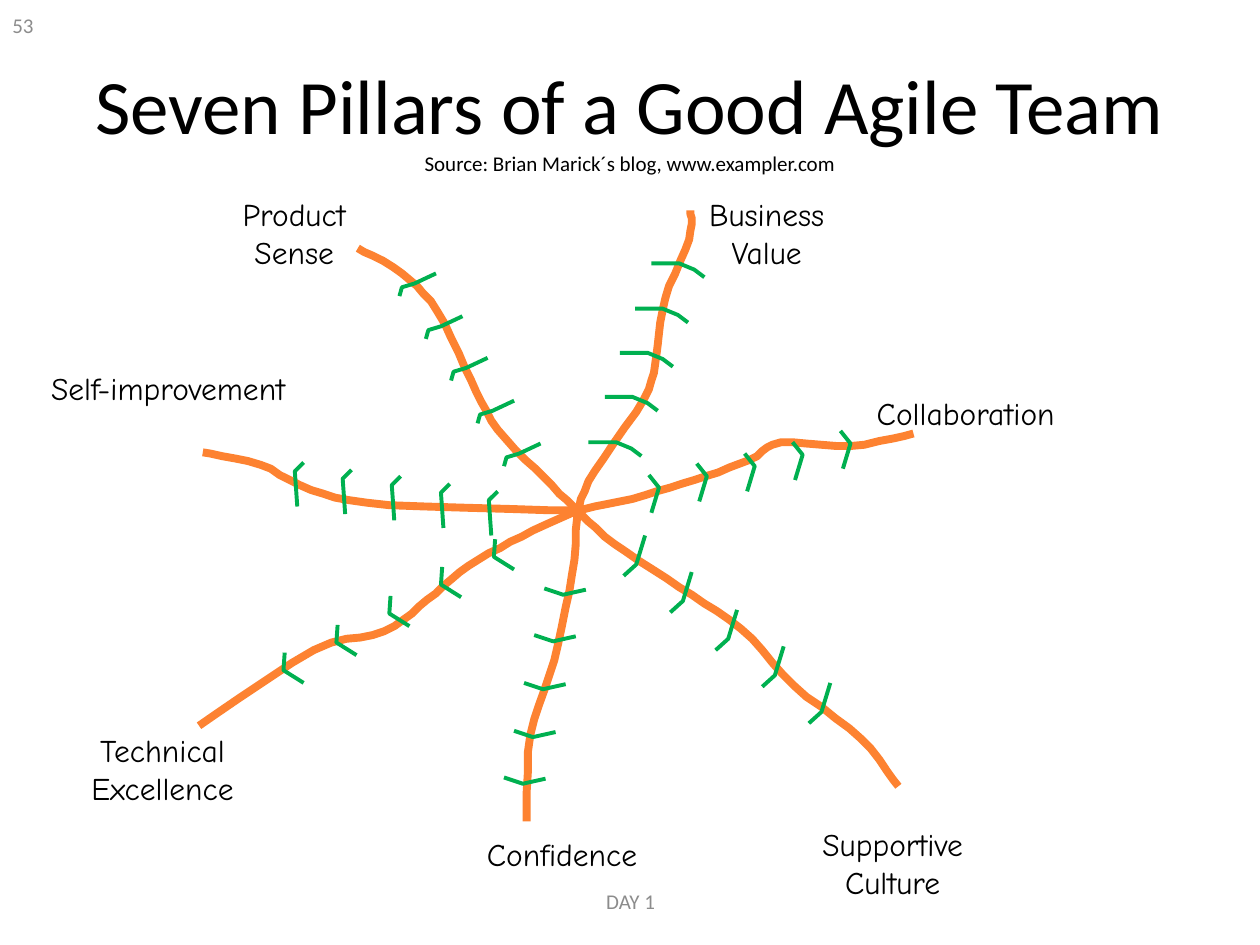
from dataclasses import dataclass

from pptx import Presentation
from pptx.dml.color import RGBColor
from pptx.enum.text import MSO_ANCHOR, MSO_AUTO_SIZE, PP_ALIGN
from pptx.shapes.autoshape import Shape
from pptx.slide import Slide
from pptx.util import Pt

PX = 9144  # EMU in one px, 100 px to the inch
Point = tuple[int, int]
Box = tuple[int, int, int, int]

HUB: Point = (458, 405)
TICKS = 5
LABEL_HEIGHT = 71
CURVE_STEPS = 5


@dataclass(frozen=True)
class Theme:
    text: RGBColor = RGBColor.from_string("000000")
    muted: RGBColor = RGBColor.from_string("8C8C8C")
    branch: RGBColor = RGBColor.from_string("FD8231")
    tick: RGBColor = RGBColor.from_string("00B050")
    body_font: str = "Calibri"
    label_font: str = "Comic Neue"
    title_size: Pt = Pt(44)
    label_size: Pt = Pt(18)
    small_size: Pt = Pt(12)
    branch_width: Pt = Pt(4.5)
    tick_width: Pt = Pt(2.25)


@dataclass(frozen=True)
class Pillar:
    """A branch from the hub, with one tick shape repeated in equal steps."""
    label: str
    left: int
    top: int
    width: int
    branch: list[Point]
    tick: list[Point]
    first_tick: Point
    last_tick: Point


THEME = Theme()

PILLARS = [
    Pillar("Supportive Culture", 617, 650, 183,
           [(488, 432), (539, 466), (588, 499), (630, 544), (683, 586), (713, 624)],
           [(0, 32), (10, 23), (17, 0)], (495, 425), (642, 542)),
    Pillar("Confidence", 367, 658, 158,
           [(454, 456), (440, 524), (421, 583), (418, 652)],
           [(0, 0), (15, 5), (33, 1)], (432, 467), (400, 617)),
    Pillar("Technical Excellence", 50, 575, 158,
           [(414, 426), (372, 449), (339, 476), (305, 501), (249, 516), (158, 576)],
           [(17, 24), (1, 14), (2, 0)], (391, 428), (224, 518)),
    Pillar("Self-improvement", 25, 288, 217,
           [(309, 401), (247, 389), (207, 369), (161, 359)],
           [(8, 35), (6, 7), (13, 0)], (382, 390), (228, 367)),
    Pillar("Product Sense", 150, 150, 167,
           [(432, 379), (395, 341), (374, 302), (347, 247), (319, 217), (284, 197)],
           [(29, 0), (12, 8), (2, 11), (0, 18)], (400, 352), (317, 217)),
    Pillar("Business Value", 525, 150, 167,
           [(472, 374), (511, 317), (521, 282), (528, 237), (547, 190), (548, 167)],
           [(42, 12), (34, 6), (22, 1), (0, 1)], (467, 350), (517, 208)),
    Pillar("Collaboration", 675, 308, 183,
           [(502, 396), (551, 381), (595, 365), (620, 351), (675, 354), (725, 344)],
           [(2, 30), (8, 10), (0, 0)], (515, 377), (667, 342)),
]


def smooth(points: list[Point]) -> list[Point]:
    """Run a Catmull-Rom curve through the points."""
    padded = [points[0], *points, points[-1]]
    curve = [points[0]]
    for a, b, c, d in zip(padded, padded[1:], padded[2:], padded[3:]):
        for step in range(1, CURVE_STEPS + 1):
            t = step / CURVE_STEPS
            x, y = (
                q + t * (r - p + t * (2 * p - 5 * q + 4 * r - s
                                      + t * (3 * (q - r) + s - p))) / 2
                for p, q, r, s in zip(a, b, c, d)
            )
            curve.append((round(x), round(y)))
    return curve


def place(sp: Shape, box: Box) -> None:
    sp.left, sp.top, sp.width, sp.height = (v * PX for v in box)


def add_title(slide: Slide, title: str, source: str) -> None:
    sp = slide.shapes.title
    place(sp, (50, 30, 900, 125))
    tf = sp.text_frame
    tf.word_wrap = True
    tf.auto_size = MSO_AUTO_SIZE.NONE
    tf.vertical_anchor = MSO_ANCHOR.MIDDLE
    p = tf.paragraphs[0]
    p.alignment = PP_ALIGN.CENTER
    p.font.name, p.font.size = THEME.body_font, THEME.title_size
    p.font.color.rgb = THEME.text
    p.add_run().text = title
    p.add_line_break()
    r = p.add_run()
    r.text = source
    r.font.size = THEME.small_size


def add_text(slide: Slide, text: str, box: Box, font: str, size: Pt, color: RGBColor,
             align: PP_ALIGN = PP_ALIGN.CENTER,
             anchor: MSO_ANCHOR = MSO_ANCHOR.TOP) -> None:
    sp = slide.shapes.add_textbox(*(v * PX for v in box))
    tf = sp.text_frame
    tf.word_wrap = True
    tf.vertical_anchor = anchor
    p = tf.paragraphs[0]
    p.text = text
    p.alignment = align
    p.font.name, p.font.size = font, size
    p.font.color.rgb = color


def add_stroke(slide: Slide, points: list[Point], color: RGBColor, width: Pt) -> None:
    builder = slide.shapes.build_freeform(*points[0], scale=PX)
    builder.add_line_segments(points[1:], close=False)
    sp = builder.convert_to_shape()
    sp.shadow.inherit = False
    sp.fill.background()
    sp.line.color.rgb = color
    sp.line.width = width


def add_ticks(slide: Slide, pillar: Pillar) -> None:
    (x0, y0), (x1, y1) = pillar.first_tick, pillar.last_tick
    for i in range(TICKS):
        t = i / (TICKS - 1)
        left, top = round(x0 + t * (x1 - x0)), round(y0 + t * (y1 - y0))
        points = [(left + x, top + y) for x, y in pillar.tick]
        add_stroke(slide, points, THEME.tick, THEME.tick_width)


def main() -> None:
    prs = Presentation()
    prs.slide_width, prs.slide_height = 1000 * PX, 750 * PX
    slide = prs.slides.add_slide(prs.slide_layouts[5])

    add_title(slide, "Seven Pillars of a Good Agile Team",
              "Source: Brian Marick´s blog, www.exampler.com")
    small = (THEME.body_font, THEME.small_size, THEME.muted)
    add_text(slide, "DAY 1", (342, 695, 317, 40), *small, anchor=MSO_ANCHOR.MIDDLE)
    add_text(slide, "53", (0, 0, 233, 40), *small, PP_ALIGN.LEFT, MSO_ANCHOR.MIDDLE)

    for pillar in PILLARS:
        add_stroke(slide, smooth([HUB, *pillar.branch]),
                   THEME.branch, THEME.branch_width)
    for pillar in PILLARS:
        box = (pillar.left, pillar.top, pillar.width, LABEL_HEIGHT)
        add_text(slide, pillar.label, box,
                 THEME.label_font, THEME.label_size, THEME.text)
        add_ticks(slide, pillar)

    prs.save("out.pptx")


if __name__ == "__main__":
    main()
